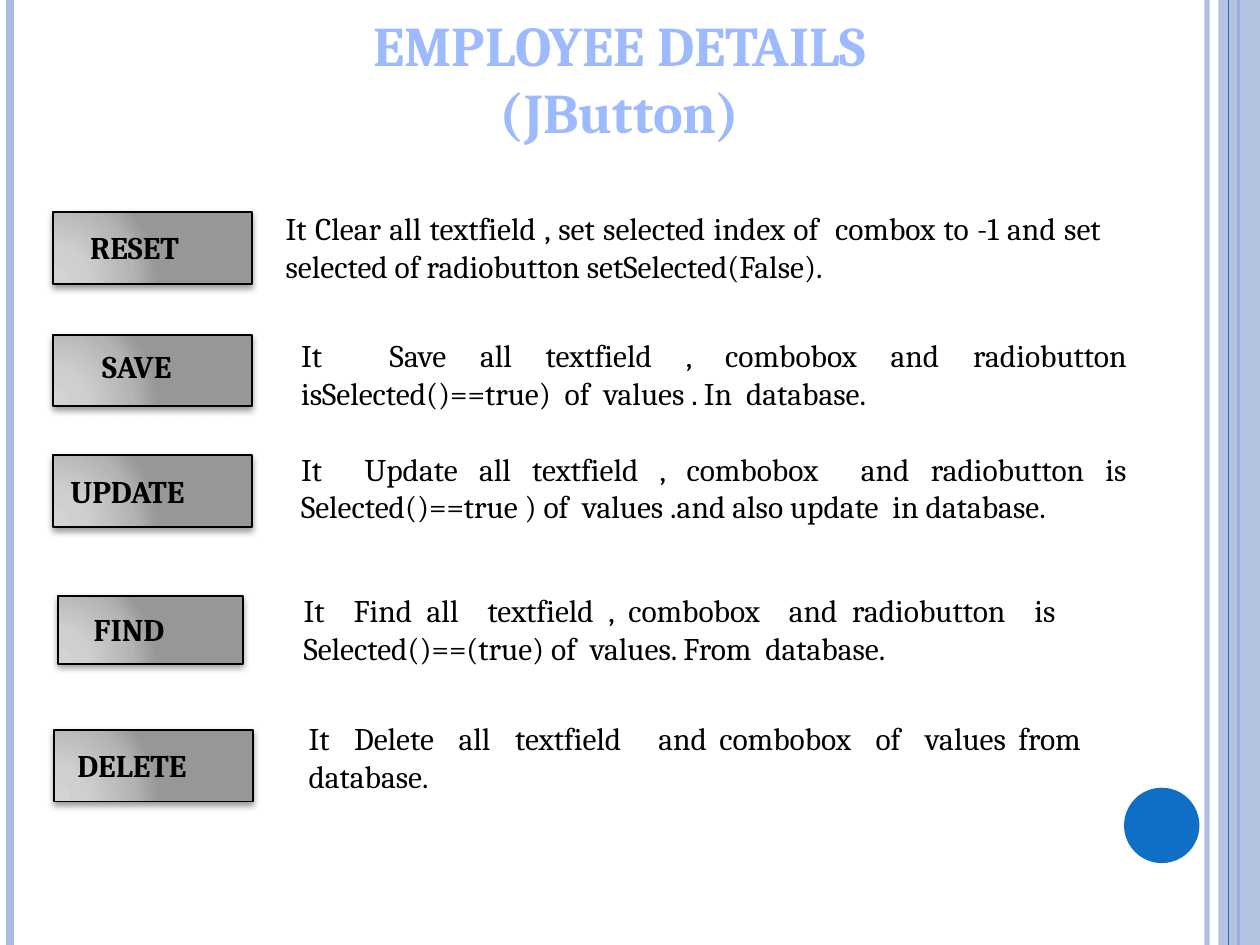
from lxml import etree
from pptx import Presentation
from pptx.dml.color import RGBColor
from pptx.enum.shapes import MSO_CONNECTOR as Connector, MSO_SHAPE as Shape
from pptx.enum.text import MSO_ANCHOR as Anchor, MSO_AUTO_SIZE as AutoSize, PP_ALIGN as Align
from pptx.oxml import parse_xml
from pptx.oxml.ns import nsdecls, qn
from pptx.util import Cm, Pt

PALE = RGBColor(0xAB, 0xBB, 0xDF)
BLUE = RGBColor(0x0F, 0x6F, 0xC6)
TITLE = RGBColor(0x9E, 0xBA, 0xFF)
BLACK = RGBColor(0, 0, 0)
FONT = "Cambria"

BUTTON_FILL = f"""<a:gradFill {nsdecls('a')} rotWithShape="1"><a:gsLst>
<a:gs pos="0"><a:srgbClr val="D3D3D3"/></a:gs>
<a:gs pos="30000"><a:srgbClr val="CFCFCF"/></a:gs>
<a:gs pos="75000"><a:srgbClr val="B4B4B4"/></a:gs>
<a:gs pos="100000"><a:srgbClr val="979797"/></a:gs></a:gsLst>
<a:path path="circle"><a:fillToRect l="5000" t="100000" r="120000" b="10000"/></a:path>
</a:gradFill>"""
BUTTON_SHADOW = f"""<a:outerShdw {nsdecls('a')} blurRad="50800" dist="25400" dir="5400000"
rotWithShape="0"><a:srgbClr val="000000"><a:alpha val="40000"/></a:srgbClr></a:outerShdw>"""


def set_opacity(fill_parent, percent):
    color = fill_parent.find(qn("a:solidFill"))[0]
    etree.SubElement(color, qn("a:alpha")).set("val", str(percent * 1000))


def add_text(left, top, width, height, text, bold=False, align=Align.LEFT, indent=0):
    box = page.shapes.add_textbox(Cm(left), Cm(top), Cm(width), Cm(height))
    frame = box.text_frame
    frame.word_wrap = True
    frame.margin_left = Cm(0.25 + indent)
    para = frame.paragraphs[0]
    para.alignment = align
    span = para.add_run()
    span.text = text
    span.font.name = FONT
    span.font.size = Pt(18)
    span.font.bold = bold
    span.font.color.rgb = BLACK


deck = Presentation()
deck.slide_width, deck.slide_height = Cm(25.4), Cm(19.05)
page = deck.slides.add_slide(deck.slide_layouts[5])

# Side decoration: x, colour, width in points, opacity
rules = [(24.33, PALE, 3, 93), (0.2, PALE, 4.5, 100),
         (24.97, BLUE, 1.5, 100), (24.77, BLUE, 0.75, 100)]
for number, (x, color, weight, opacity) in enumerate(rules):
    rule = page.shapes.add_connector(Connector.STRAIGHT, Cm(x), 0, Cm(x), deck.slide_height)
    rule.line.color.rgb = color
    rule.line.width = Pt(weight)
    properties = rule._element.spPr
    if opacity < 100:
        set_opacity(properties.find(qn("a:ln")), opacity)
    etree.SubElement(properties, qn("a:effectLst"))
    if number == 2:  # the band lies over this rule and under the last one
        band = page.shapes.add_shape(Shape.RECTANGLE, Cm(24.56), 0, Cm(0.84), deck.slide_height)
        band.shadow.inherit = False
        band.fill.solid()
        band.fill.fore_color.rgb = PALE
        set_opacity(band._element.spPr, 87)
        band.line.fill.background()

dot = page.shapes.add_shape(Shape.OVAL, Cm(22.66), Cm(15.88), Cm(1.52), Cm(1.52))
dot.shadow.inherit = False
dot.fill.solid()
dot.fill.fore_color.rgb = BLUE
dot.line.fill.background()

title = page.shapes.title
title.left, title.top, title.width, title.height = Cm(5.51), Cm(0.08), Cm(13.97), Cm(3)
frame = title.text_frame
frame.auto_size = AutoSize.NONE
frame.vertical_anchor = Anchor.TOP
for number, line in enumerate(["EMPLOYEE DETAILS", "(JButton)"]):
    para = frame.add_paragraph() if number else frame.paragraphs[0]
    para.alignment = Align.CENTER
    span = para.add_run()
    span.text = line
    span.font.name = FONT
    span.font.size = Pt(32)
    span.font.bold = True
    span.font.color.rgb = TITLE

# Button box; label, its left, top, width and indent; description box and text
rows = [
    ((1.07, 4.27, 4.01, 1.45), ("RESET", 1.3, 4.47, 3.56, 0.27), (5.51, 4.09, 16.94, 1.8),
     "It Clear all textfield , set selected index of  combox to -1 and set "
     "selected of radiobutton setSelected(False)."),
    ((1.07, 6.76, 4.01, 1.42), ("SAVE", 1.4, 6.88, 3.56, 0.41), (5.82, 6.65, 17.15, 1.8),
     "It  Save all textfield , combobox and radiobutton "
     "isSelected()==true)  of  values . In  database."),
    ((1.07, 9.17, 4.01, 1.45), ("UPDATE", 1.17, 9.4, 3.78, 0), (5.82, 8.94, 17.15, 2.57),
     "It  Update all textfield , combobox  and radiobutton is "
     "Selected()==true ) of  values .and also update  in database."),
    ((1.17, 12.01, 3.73, 1.37), ("FIND", 1.09, 12.17, 3.78, 0.55), (5.87, 11.79, 15.67, 1.8),
     "It  Find all  textfield , combobox  and radiobutton  is "
     "Selected()==(true) of  values. From  database."),
    ((1.09, 14.71, 4.01, 1.45), ("DELETE", 1.17, 14.91, 3.78, 0.14), (5.97, 14.38, 16.08, 1.8),
     "It  Delete  all  textfield   and combobox  of  values from database."),
]
for button_box, (label, left, top, width, indent), description_box, description in rows:
    button = page.shapes.add_shape(Shape.RECTANGLE, *map(Cm, button_box))
    button.fill.solid()
    button.line.color.rgb = BLACK
    button.line.width = Pt(1)
    button.shadow.inherit = False
    properties = button._element.spPr
    properties.replace(properties.find(qn("a:solidFill")), parse_xml(BUTTON_FILL))
    properties.find(qn("a:effectLst")).append(parse_xml(BUTTON_SHADOW))
    add_text(left, top, width, 1.02, label, bold=True, indent=indent)
    add_text(*description_box, description, align=Align.JUSTIFY)

deck.save("out.pptx")
